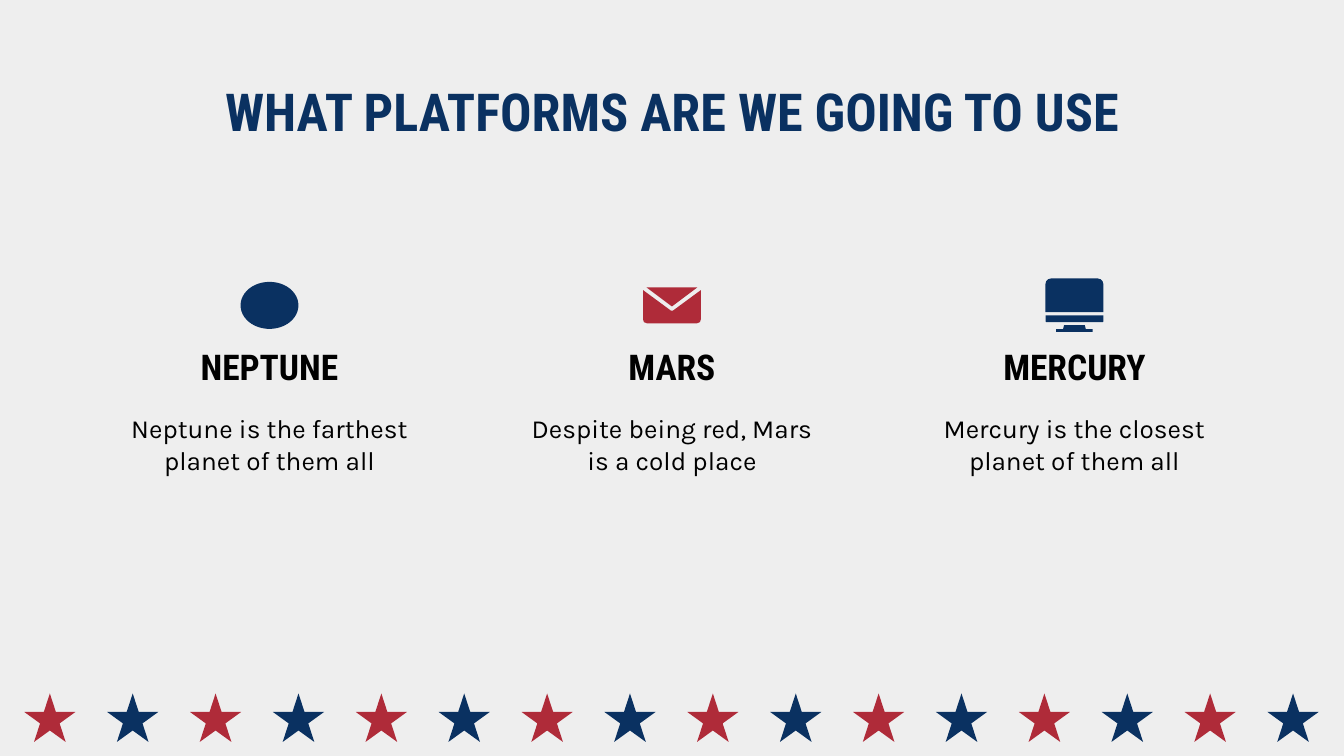
"""Build the slide on the three platforms, with a row of stars along the bottom."""
from pptx import Presentation
from pptx import util as u
from pptx.dml.color import RGBColor
from pptx.enum import shapes, text

NAVY = RGBColor(0x0A, 0x31, 0x61)
RED = RGBColor(0xAF, 0x2B, 0x39)
BLACK = RGBColor(0, 0, 0)
PALE = RGBColor(0xEE, 0xEE, 0xEE)
HEADING_FONT = "Roboto Condensed"
BODY_FONT = "Karla"
SHAPE = shapes.MSO_SHAPE

deck = Presentation()
deck.slide_width, deck.slide_height = u.Pt(720), u.Pt(405)
page = deck.slides.add_slide(deck.slide_layouts[5])
page.background.fill.solid()
page.background.fill.fore_color.rgb = PALE


def write(box, place, words, font, size, color, bold):
    box.left, box.top, box.width, box.height = map(u.Pt, place)
    frame = box.text_frame
    frame.word_wrap = True
    frame.auto_size = text.MSO_AUTO_SIZE.NONE
    frame.vertical_anchor = text.MSO_ANCHOR.TOP
    frame.margin_left = frame.margin_right = u.Pt(7.2)
    frame.margin_top = frame.margin_bottom = u.Pt(7.2)
    para = frame.paragraphs[0]
    para.alignment = text.PP_ALIGN.CENTER
    span = para.add_run()
    span.text = words
    span.font.name, span.font.size, span.font.bold = font, u.Pt(size), bold
    span.font.color.rgb = color


def paint(shape, color):
    shape.shadow.inherit = False
    shape.fill.solid()
    shape.fill.fore_color.rgb = color
    shape.line.fill.background()


for index in range(16):
    star = page.shapes.add_shape(
        SHAPE.STAR_5_POINT, u.Pt(13 + 44.4 * index), u.Pt(371.5), u.Pt(27.4), u.Pt(26))
    paint(star, NAVY if index % 2 else RED)

write(page.shapes.title, (57, 35.3, 606, 45.4),
      "WHAT PLATFORMS ARE WE GOING TO USE", HEADING_FONT, 28, NAVY, True)

platforms = [
    ("NEPTUNE", "Neptune is the farthest planet of them all"),
    ("MARS", "Despite being red, Mars is a cold place"),
    ("MERCURY", "Mercury is the closest planet of them all"),
]
centers = [144.4, 360, 575.6]
for center, (name, description) in zip(centers, platforms):
    write(page.shapes.add_textbox(0, 0, 0, 0), (center - 67.3, 177.8, 134.6, 37.4),
          name, HEADING_FONT, 19, BLACK, True)
    write(page.shapes.add_textbox(0, 0, 0, 0), (center - 88.2, 213.8, 176.4, 49.7),
          description, BODY_FONT, 14, BLACK, False)

first, second, third = centers
icon_parts = [
    (SHAPE.OVAL, first, 151, 31, 25.2, NAVY, 0),
    (SHAPE.ROUND_2_SAME_RECTANGLE, third, 149.2, 31, 18, NAVY, 0),
    (SHAPE.ROUND_2_SAME_RECTANGLE, third, 169, 31, 3.6, NAVY, 180),
    (SHAPE.TRAPEZOID, third, 174.2, 12.4, 2.6, NAVY, 0),
    (SHAPE.ROUNDED_RECTANGLE, third, 176.3, 19.6, 1.6, NAVY, 0),
]
for kind, center, top, width, height, color, turn in icon_parts:
    part = page.shapes.add_shape(
        kind, u.Pt(center - width / 2), u.Pt(top), u.Pt(width), u.Pt(height))
    part.rotation = turn
    paint(part, color)

envelope_outlines = [
    [(-15.5, 155.4), (-15.5, 171), (-15, 172.6), (-13.2, 173.3), (13.2, 173.3),
     (15, 172.6), (15.5, 171), (15.5, 155.4), (0.6, 166.4), (-0.6, 166.4)],
    [(-13.6, 154), (0, 164.2), (13.6, 154)],
]
for outline in envelope_outlines:
    points = [(u.Pt(second + x), u.Pt(y)) for x, y in outline]
    builder = page.shapes.build_freeform(*points[0])
    builder.add_line_segments(points[1:])
    paint(builder.convert_to_shape(), RED)

deck.save("out.pptx")
